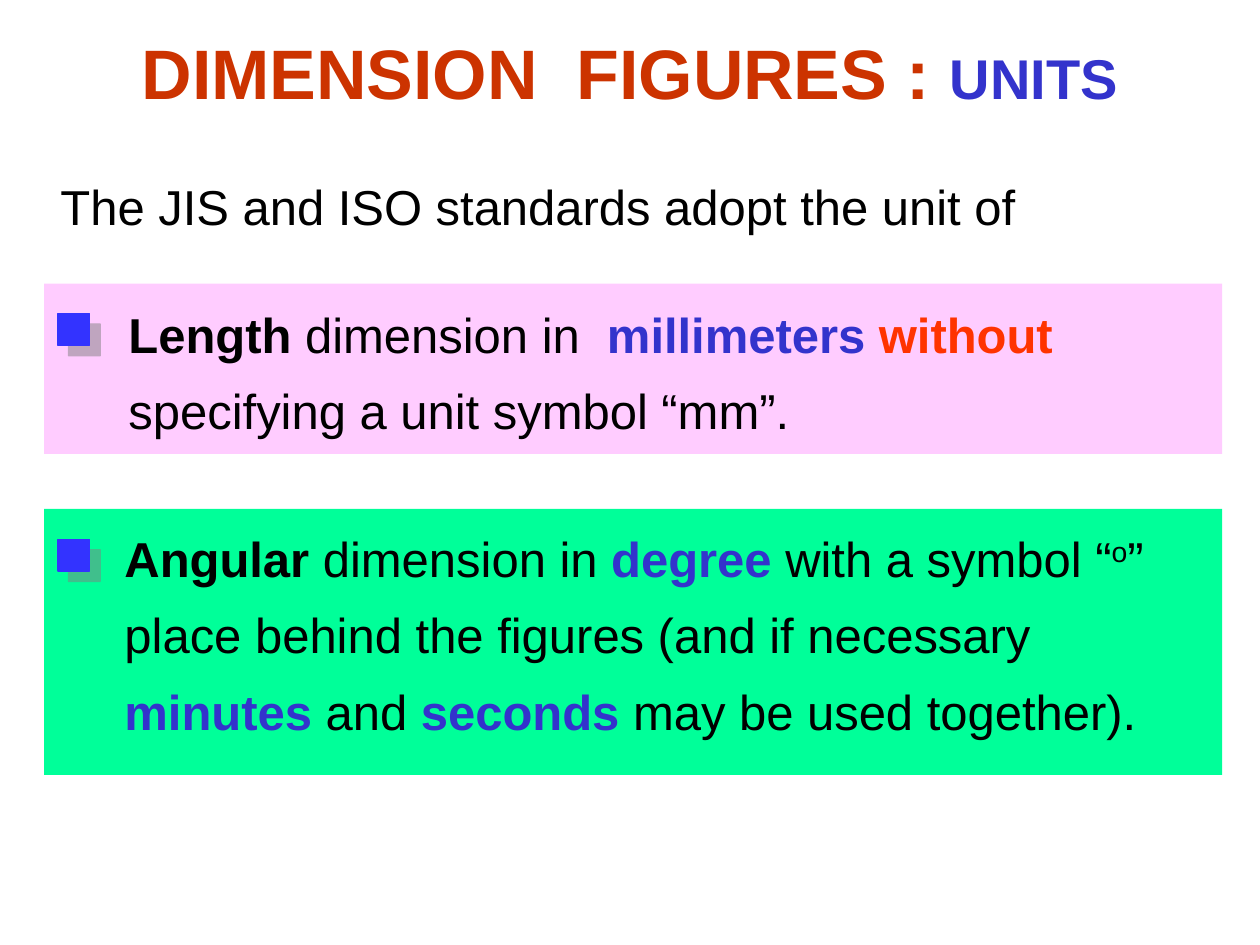
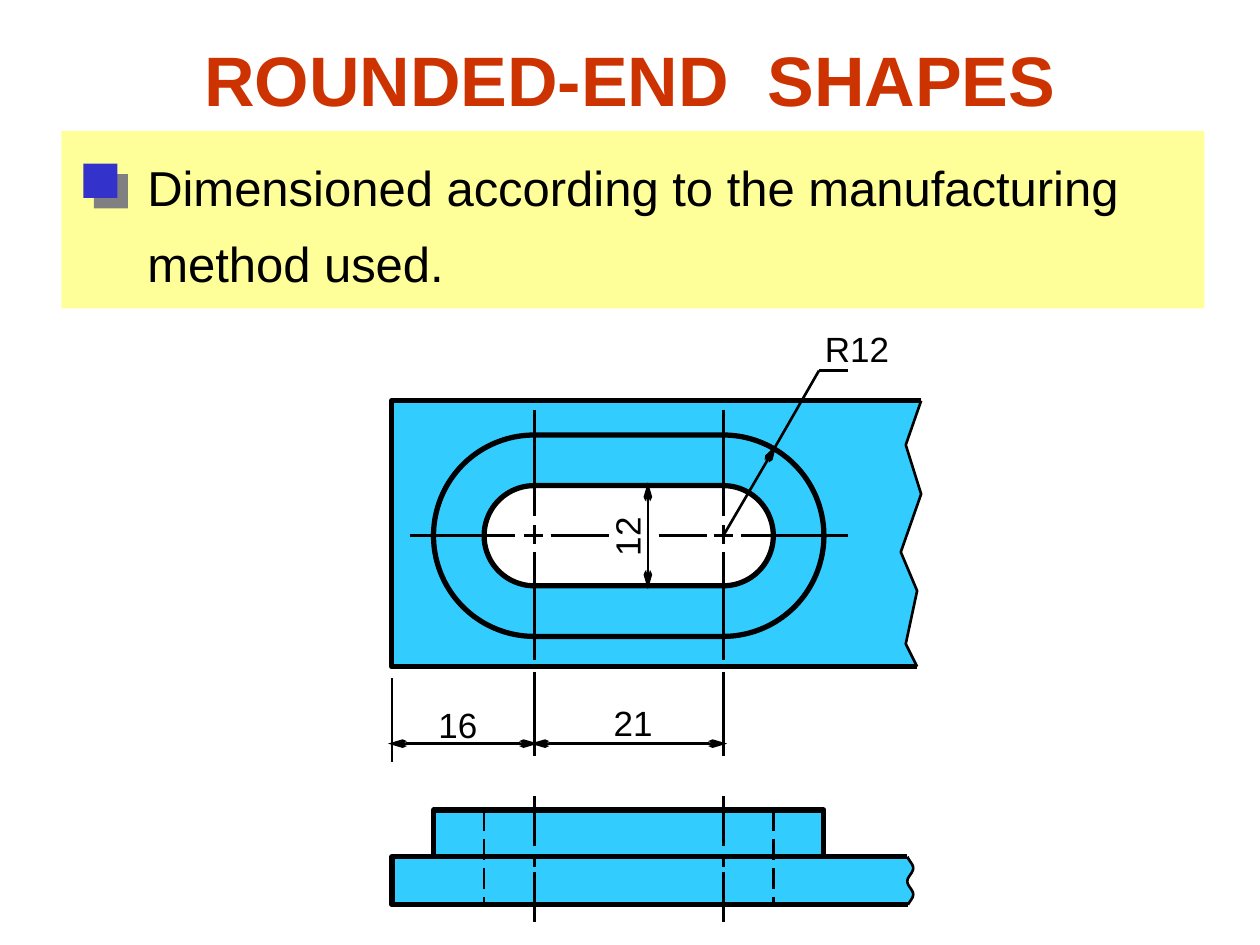
from math import pi, sin

from lxml.etree import SubElement
from pptx import Presentation
from pptx.dml.color import RGBColor
from pptx.enum.dml import MSO_LINE
from pptx.enum.shapes import MSO_CONNECTOR, MSO_SHAPE
from pptx.enum.text import MSO_ANCHOR, MSO_AUTO_SIZE, PP_ALIGN
from pptx.oxml.ns import qn
from pptx.util import Cm, Pt

COLORS = {
    "title": "CC3300", "key": "3333CC", "warn": "FF3300", "text": "000000",
    "bullet": "3333FF", "shadow": "808080", "pink": "FFCCFF",
    "green": "00FF99", "yellow": "FFFF99", "metal": "33CCFF", "hole": "FFFFFF",
}

# Text styles: font values plus a colour name
STYLES = {
    "title": ({"size": Pt(40), "bold": True}, "title"),
    "subtitle": ({"size": Pt(32), "bold": True}, "key"),
    "body": ({"size": Pt(28), "bold": False}, "text"),
    "strong": ({"size": Pt(28), "bold": True}, "text"),
    "key": ({"size": Pt(28), "bold": True}, "key"),
    "warn": ({"size": Pt(28), "bold": True}, "warn"),
    "super": ({"size": Pt(28), "bold": False}, "text"),
    "label": ({"size": Pt(20), "bold": False}, "text"),
}

THICK, THIN = 3, 1.5

# Drawing geometry in centimetres
LEFT = 7.9
CENTRES = (10.77, 14.58)
AXIS_Y = 10.8
R_OUTER, R_INNER = 2.03, 1.01
DIM_Y = 14.99
BLOCK_TOP, STEP_Y, BASE_Y = 16.33, 17.27, 18.24
PLATE_BREAK = [(18.57, 8.08), (18.26, 8.97), (18.57, 9.96), (18.16, 11.13),
               (18.49, 11.91), (18.26, 12.98), (18.49, 13.44)]


def rgb(name):
    return RGBColor.from_string(COLORS[name])


def paint(sp, fill=None, line=None, width=THICK):
    """Set fill and line by colour name; None means none."""
    sp.shadow.inherit = False
    if fill:
        sp.fill.solid()
        sp.fill.fore_color.rgb = rgb(fill)
    else:
        sp.fill.background()
    if line:
        sp.line.color.rgb = rgb(line)
        sp.line.width = Pt(width)
    else:
        sp.line.fill.background()


def add_box(s, x, y, w, h, fill, line=None, width=THICK, kind=MSO_SHAPE.RECTANGLE):
    sp = s.shapes.add_shape(kind, Cm(x), Cm(y), Cm(w), Cm(h))
    paint(sp, fill, line, width)
    return sp


def add_text(s, x, y, w, h, lines, **settings):
    """Each line is a list of (text, style) runs."""
    values = {"wrap": True, "align": PP_ALIGN.LEFT, "spacing": 1.0,
              "anchor": MSO_ANCHOR.TOP, **settings}
    sp = s.shapes.add_textbox(Cm(x), Cm(y), Cm(w), Cm(h))
    tf = sp.text_frame
    tf.word_wrap = values["wrap"]
    tf.auto_size = MSO_AUTO_SIZE.NONE if values["wrap"] else MSO_AUTO_SIZE.SHAPE_TO_FIT_TEXT
    tf.vertical_anchor = values["anchor"]
    for i, runs in enumerate(lines):
        p = tf.add_paragraph() if i else tf.paragraphs[0]
        p.alignment = values["align"]
        p.line_spacing = values["spacing"]
        for text, style in runs:
            r = p.add_run()
            r.text = text
            font_values, color = STYLES[style]
            for name, value in {"name": "Arial", **font_values}.items():
                setattr(r.font, name, value)
            r.font.color.rgb = rgb(color)
            if style == "super":
                r._r.get_or_add_rPr().set("baseline", "30000")
    return sp


def add_title(s, y, h, runs):
    add_text(s, 0, y, 25.4, h, [runs], align=PP_ALIGN.CENTER, anchor=MSO_ANCHOR.MIDDLE)


def add_body(s, x, y, w, h, lines):
    add_text(s, x, y, w, h, lines, spacing=1.3)


def add_label(s, x, y, text, w=1.3):
    return add_text(s, x, y, w, 1.11, [[(text, "label")]], wrap=False)


def add_bullet(s, x, y, size, fill, line=None, alpha=100):
    """Square marker with a shadow down to the right."""
    sp = add_box(s, x, y, size, size, fill, line, 0.75)
    effects = sp._element.spPr.find(qn("a:effectLst"))
    shadow = SubElement(effects, qn("a:outerShdw"), dist=str(Pt(8.5)),
                        dir="2700000", algn="ctr", rotWithShape="0")
    color = SubElement(shadow, qn("a:srgbClr"), val=COLORS["shadow"])
    SubElement(color, qn("a:alpha"), val=str(alpha * 1000))


def add_line(s, x1, y1, x2, y2, arrows=(), dash=None):
    """Thin line; arrows lists the ends to mark: headEnd, tailEnd."""
    c = s.shapes.add_connector(MSO_CONNECTOR.STRAIGHT, Cm(x1), Cm(y1), Cm(x2), Cm(y2))
    c.line.color.rgb = rgb("text")
    c.line.width = Pt(THIN)
    if dash:
        c.line.dash_style = dash
    spPr = c._element.spPr
    for end in arrows:
        SubElement(spPr.find(qn("a:ln")), qn("a:" + end), type="arrow", w="sm", len="lg")
    SubElement(spPr, qn("a:effectLst"))


def add_path(s, points, fill=None, line=None, width=THICK):
    pts = [(Cm(x), Cm(y)) for x, y in points]
    fb = s.shapes.build_freeform(*pts[0], scale=1.0)
    fb.add_line_segments(pts[1:], close=fill is not None)
    paint(fb.convert_to_shape(), fill, line, width)


def add_broken_plate(s, edge):
    """Plate with thick outer edges and a thin break line on the right."""
    outline = [edge[-1], (LEFT, edge[-1][1]), (LEFT, edge[0][1]), edge[0]]
    add_path(s, outline + edge[1:-1], fill="metal")
    add_path(s, outline, line="text")
    add_path(s, edge, line="text", width=THIN)


def add_slot(s, radius, fill):
    x1, x2 = CENTRES
    sp = add_box(s, x1 - radius, AXIS_Y - radius, x2 - x1 + 2 * radius, 2 * radius,
                 fill, "text", kind=MSO_SHAPE.ROUNDED_RECTANGLE)
    sp.adjustments[0] = 0.5


def draw_top_view(s):
    add_broken_plate(s, PLATE_BREAK)
    add_slot(s, R_OUTER, "metal")
    add_slot(s, R_INNER, "hole")
    # Centre lines
    for x1, x2 in ((8.26, 10.39), (10.57, 10.95), (11.1, 12.27),
                   (13.28, 14.25), (14.4, 14.78), (14.94, 17.09)):
        add_line(s, x1, AXIS_Y, x2, AXIS_Y)
    for x in CENTRES:
        for y1, y2 in ((8.26, 10.41), (10.59, 10.97), (11.13, 13.3)):
            add_line(s, x, y1, x, y2)


def draw_side_view(s):
    steps = 24
    heights = [STEP_Y + (BASE_Y - STEP_Y) * i / steps for i in range(steps + 1)]
    wave = [(18.35 + 0.06 * sin(2 * pi * (y - 17.37) / 0.53), y) for y in heights]
    x1, x2 = CENTRES
    add_broken_plate(s, wave)
    add_box(s, x1 - R_OUTER, BLOCK_TOP, x2 - x1 + 2 * R_OUTER, STEP_Y - BLOCK_TOP,
            "metal", "text")
    for x in (x1 - R_INNER, x2 + R_INNER):
        add_line(s, x, BLOCK_TOP, x, BASE_Y, dash=MSO_LINE.LONG_DASH)
    for x in CENTRES:
        for y1, y2 in ((16.05, 17.06), (17.22, 17.47), (17.58, 18.59)):
            add_line(s, x, y1, x, y2)


def draw_dimensions(s):
    both = ("headEnd", "tailEnd")
    x1, x2 = CENTRES
    # Lengths below the plate
    add_line(s, LEFT, 13.67, LEFT, 15.37)
    for x in CENTRES:
        add_line(s, x, 13.55, x, 15.24)
    for start, end in ((LEFT, x1), (x1, x2)):
        add_line(s, start - 0.08, DIM_Y, end + 0.08, DIM_Y, both)
    add_label(s, 8.59, 14.05, "16")
    add_label(s, 12.12, 14.02, "21")
    # Slot width
    add_line(s, 13.06, AXIS_Y + R_INNER + 0.07, 13.06, AXIS_Y - R_INNER - 0.07, both)
    add_label(s, 11.99, 10.26, "12").rotation = 270
    # Radius leader
    add_line(s, x2, AXIS_Y, 15.65, 8.97, ("tailEnd",))
    add_line(s, 15.62, 9.02, 16.51, 7.47)
    add_line(s, 16.51, 7.47, 17.09, 7.47)
    add_label(s, 16.38, 6.48, "R12", 1.8)


def build_units(prs):
    s = prs.slides.add_slide(prs.slide_layouts[6])
    add_title(s, 0.46, 1.96, [("DIMENSION  FIGURES : ", "title"), ("UNITS", "subtitle")])
    add_body(s, 0.97, 3.07, 20.6, 1.8,
             [[("The JIS and ISO standards adopt the unit of", "body")]])
    # Coloured panels with their bullets
    for y, h, fill, bullet_y in ((5.72, 3.43, "pink", 6.32), (10.26, 5.36, "green", 10.87)):
        add_box(s, 0.89, y, 23.75, h, fill)
        add_bullet(s, 1.17, bullet_y, 0.64, "bullet", "bullet", 50)
    add_body(s, 2.34, 5.66, 19.8, 3.35, [
        [("Length ", "strong"), ("dimension in  ", "body"),
         ("millimeters ", "key"), ("without", "warn")],
        [("specifying a unit symbol “mm”.", "body")],
    ])
    add_body(s, 2.26, 10.17, 21.8, 4.88, [
        [("Angular ", "strong"), ("dimension in ", "body"), ("degree ", "key"),
         ("with a symbol “", "body"), ("o", "super"), ("”", "body")],
        [("place behind the figures (and if necessary", "body")],
        [("minutes ", "key"), ("and ", "body"), ("seconds ", "key"),
         ("may be used together).", "body")],
    ])


def build_rounded_ends(prs):
    s = prs.slides.add_slide(prs.slide_layouts[6])
    add_title(s, 0, 3.18, [("ROUNDED-END  SHAPES", "title")])
    add_box(s, 1.24, 2.64, 23.04, 3.58, "yellow")
    add_bullet(s, 1.68, 3.3, 0.69, "key")
    add_body(s, 2.72, 2.69, 20.9, 3.35, [
        [("Dimensioned according to the manufacturing", "body")],
        [("method used.", "body")],
    ])
    draw_top_view(s)
    draw_side_view(s)
    draw_dimensions(s)


def main():
    prs = Presentation()
    prs.slide_width, prs.slide_height = Cm(25.4), Cm(19.05)
    build_units(prs)
    build_rounded_ends(prs)
    prs.save("out.pptx")


if __name__ == "__main__":
    main()
